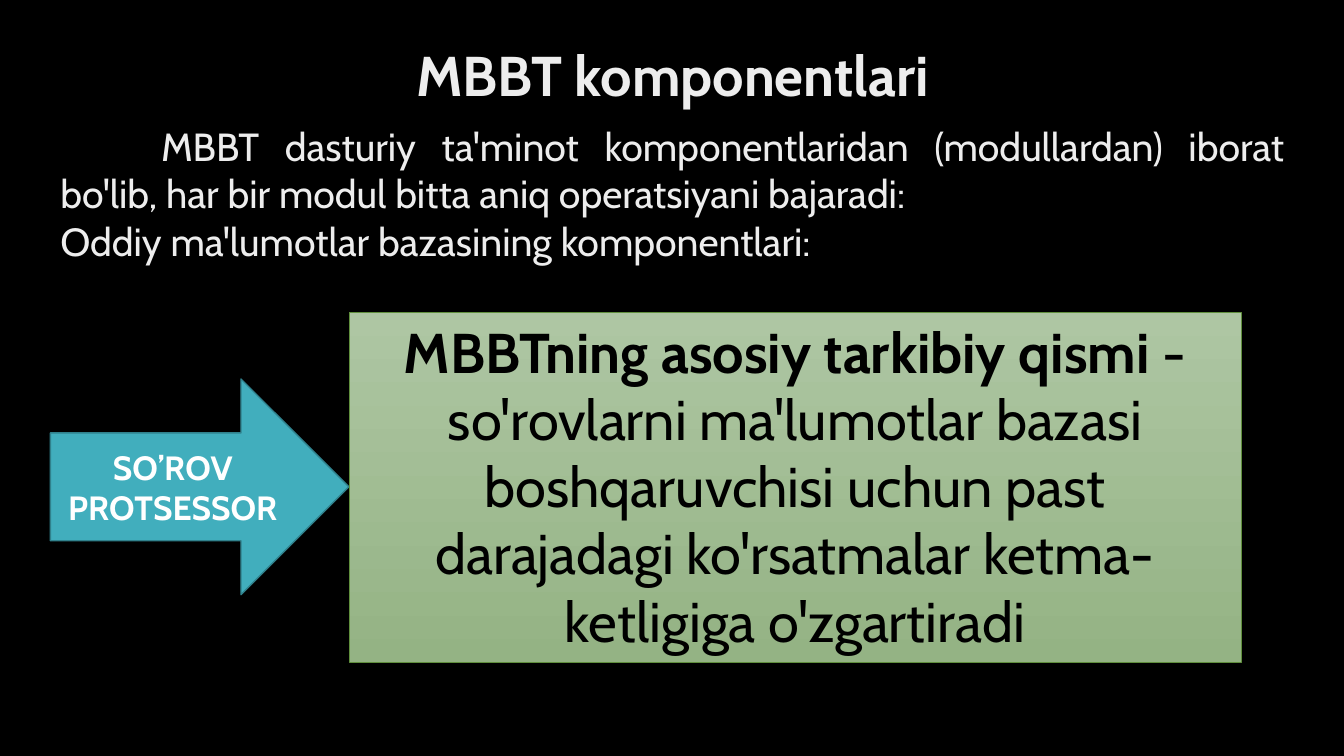
from dataclasses import dataclass

from pptx import Presentation
from pptx import util as u
from pptx.dml import color
from pptx.enum import shapes, text


@dataclass(frozen=True)
class Theme:
    font: str = "Cabin"
    background: str = "000000"
    light: str = "EDEDED"
    white: str = "FFFFFF"
    dark: str = "000000"
    arrow: str = "41AEBD"
    arrow_line: str = "30818C"
    panel: tuple = ("AEC6A3", "94B384")
    panel_line: str = "608F3D"
    large: int = 40
    body: int = 28
    label: int = 24


def rgb(value):
    return color.RGBColor.from_string(value)


def apply(target, **values):
    for name, value in values.items():
        setattr(target, name, value)


class Deck:
    """Holds the theme and current slide; places are percentages of its size."""

    def __init__(self, theme):
        self.theme = theme
        self.prs = Presentation()
        apply(self.prs, slide_width=u.Inches(13.33), slide_height=u.Inches(7.5))
        self.slide = self.prs.slides.add_slide(self.prs.slide_layouts[5])
        fill = self.slide.background.fill
        fill.solid()
        fill.fore_color.rgb = rgb(theme.background)

    def place(self, left, top, width, height):
        w, h = self.prs.slide_width, self.prs.slide_height
        return [int(share * full / 100)
                for share, full in zip((left, top, width, height), (w, h, w, h))]

    def fill_text(self, frame, paragraphs, size, ink, anchor, **layout):
        """Each paragraph is a list of (words, bold) runs."""
        apply(frame, word_wrap=True, vertical_anchor=anchor,
              auto_size=text.MSO_AUTO_SIZE.NONE)
        for i, runs in enumerate(paragraphs):
            paragraph = frame.add_paragraph() if i else frame.paragraphs[0]
            apply(paragraph, **layout)
            for words, bold in runs:
                run = paragraph.add_run()
                run.text = words
                apply(run.font, name=self.theme.font, size=u.Pt(size), bold=bold)
                run.font.color.rgb = rgb(ink)

    def title(self, words, place):
        heading = self.slide.shapes.title
        apply(heading, **dict(zip(("left", "top", "width", "height"),
                                  self.place(*place))))
        self.fill_text(heading.text_frame, [[(words, True)]], self.theme.large,
                       self.theme.light, text.MSO_ANCHOR.MIDDLE,
                       alignment=text.PP_ALIGN.CENTER, line_spacing=0.9)

    def body(self, paragraphs, place, first_indent):
        frame = self.slide.shapes.add_textbox(*self.place(*place)).text_frame
        self.fill_text(frame, [[(words, False)] for words in paragraphs],
                       self.theme.body, self.theme.light, text.MSO_ANCHOR.TOP,
                       alignment=text.PP_ALIGN.JUSTIFY, space_before=u.Pt(1))
        properties = frame.paragraphs[0]._p.get_or_add_pPr()
        properties.set("indent", str(u.Inches(first_indent)))

    def shape(self, kind, place, colours, line, line_width, runs, size, ink, anchor):
        item = self.slide.shapes.add_shape(kind, *self.place(*place))
        item.shadow.inherit = False
        if len(colours) > 1:
            item.fill.gradient()
            item.fill.gradient_angle = 270
            for stop, colour, position in zip(item.fill.gradient_stops, colours, (0, 1)):
                stop.position = position
                stop.color.rgb = rgb(colour)
        else:
            item.fill.solid()
            item.fill.fore_color.rgb = rgb(colours[0])
        item.line.color.rgb = rgb(line)
        item.line.width = u.Pt(line_width)
        self.fill_text(item.text_frame, [runs], size, ink, anchor,
                       alignment=text.PP_ALIGN.CENTER)


def main():
    theme = Theme()
    deck = Deck(theme)

    # Heading and introduction
    deck.title("MBBT komponentlari", (6.9, 5.33, 86.27, 10.13))
    deck.body(["MBBT dasturiy ta'minot komponentlaridan (modullardan) iborat bo'lib, "
               "har bir modul bitta aniq operatsiyani bajaradi:",
               "Oddiy ma'lumotlar bazasining komponentlari:"],
              (3.75, 15.47, 92.5, 19.33), first_indent=1)

    # Query processor arrow, ending at the panel's left edge
    arrow_left, panel_left = 3.75, 25.96
    deck.shape(shapes.MSO_SHAPE.RIGHT_ARROW,
               (arrow_left, 50.13, panel_left - arrow_left, 28.53),
               (theme.arrow,), theme.arrow_line, 1,
               [("SO’ROV PROTSESSOR", True)],
               theme.label, theme.white, text.MSO_ANCHOR.MIDDLE)

    # Description panel
    deck.shape(shapes.MSO_SHAPE.RECTANGLE, (panel_left, 41.33, 66.39, 46.27),
               theme.panel, theme.panel_line, 0.5,
               [("MBBTning asosiy tarkibiy qismi", True),
                (" - so'rovlarni ma'lumotlar bazasi boshqaruvchisi uchun past "
                 "darajadagi ko'rsatmalar ketma-ketligiga o'zgartiradi", False)],
               theme.large, theme.dark, text.MSO_ANCHOR.TOP)

    deck.prs.save("out.pptx")


if __name__ == "__main__":
    main()
